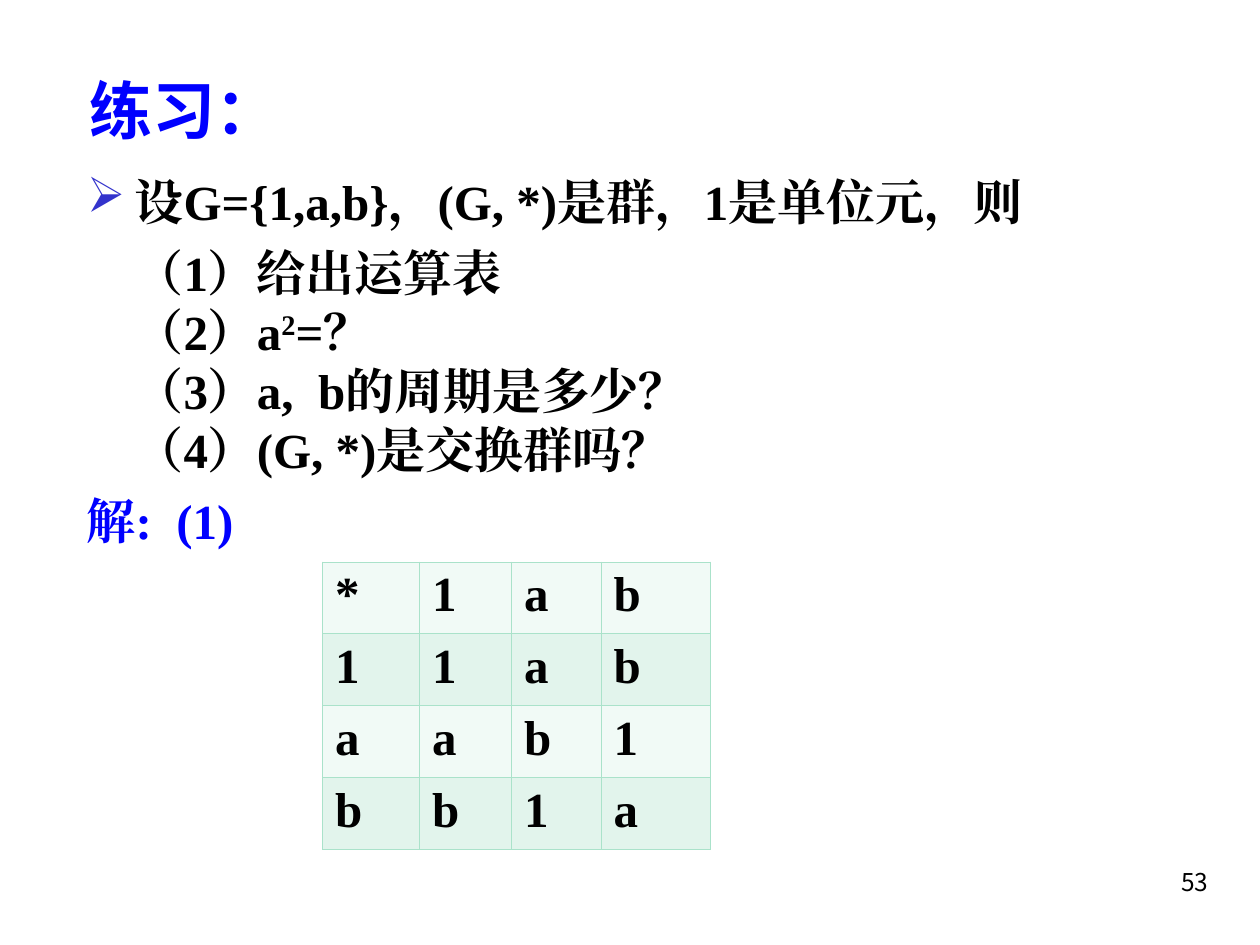
from dataclasses import dataclass

from lxml import etree
from pptx import Presentation
from pptx import util as u
from pptx.dml.color import RGBColor
from pptx.enum import text
from pptx.oxml.ns import qn

BLACK = RGBColor(0x00, 0x00, 0x00)
BLUE = RGBColor(0x00, 0x00, 0xFF)
BULLET_BLUE = RGBColor(0x33, 0x33, 0xCC)
BORDER_GREEN = RGBColor(0xAA, 0xE2, 0xCA)
ROW_FILLS = (RGBColor(0xF1, 0xFA, 0xF6), RGBColor(0xE2, 0xF4, 0xEC))
SERIF = "Times New Roman"
LINE_PITCH = u.Pt(33.7)
HANGING = u.Inches(0.38)


@dataclass(frozen=True)
class Style:
    size: float
    font: str
    color: RGBColor
    bold: bool = True


@dataclass(frozen=True)
class Box:
    left: float
    top: float
    width: float
    height: float

    def lengths(self) -> tuple:
        return tuple(map(u.Inches, (self.left, self.top, self.width, self.height)))


@dataclass(frozen=True)
class BodyParagraph:
    lines: tuple
    style: Style
    margin: int = 0
    indent: int = 0
    bullet: str = ""


TITLE = Style(36, "Noto Sans CJK SC", BLUE)
BODY = Style(28, SERIF, BLACK)
ANSWER = Style(28, SERIF, BLUE)
PAGE_NUMBER = Style(14, "Noto Sans CJK KR", BLACK, False)

EXERCISE = (
    BodyParagraph(("设G={1,a,b}，(G, *)是群，1是单位元，则",), BODY, HANGING, -HANGING, "➢"),
    BodyParagraph(
        ("（1）给出运算表", "（2）a^2^=？", "（3）a,  b的周期是多少？", "（4）(G, *)是交换群吗？"),
        BODY,
        HANGING,
    ),
    BodyParagraph(("解:  (1)",), ANSWER),
)
OPERATION_TABLE = ("*1ab", "1ab".join(("1", "")), "aab1", "bb1a")
COLUMN_WIDTHS = (0.77, 0.73, 0.71, 0.87)
ROW_HEIGHT = 0.57


def apply_style(paragraph, style: Style) -> None:
    font = paragraph.font
    font.size = u.Pt(style.size)
    font.bold = style.bold
    font.color.rgb = style.color
    font.name = style.font
    defaults = paragraph._p.pPr.find(qn("a:defRPr"))
    etree.SubElement(defaults, qn("a:ea"), typeface=style.font)


def add_text_frame(slide, box: Box, anchor=text.MSO_ANCHOR.TOP):
    frame = slide.shapes.add_textbox(*box.lengths()).text_frame
    frame.word_wrap = True
    frame.vertical_anchor = anchor
    return frame


def add_label(slide, box: Box, label: str, style: Style, anchor, alignment) -> None:
    paragraph = add_text_frame(slide, box, anchor).paragraphs[0]
    paragraph.text = label
    paragraph.alignment = alignment
    apply_style(paragraph, style)


def add_line(paragraph, line: str) -> None:
    for position, part in enumerate(line.split("^")):
        run = paragraph.add_run()
        run.text = part
        if position % 2:
            run._r.get_or_add_rPr().set("baseline", "30000")


def add_body(slide, box: Box, items: tuple) -> None:
    frame = add_text_frame(slide, box)
    for number, item in enumerate(items):
        paragraph = frame.add_paragraph() if number else frame.paragraphs[0]
        properties = paragraph._p.get_or_add_pPr()
        properties.set("marL", str(item.margin))
        properties.set("indent", str(item.indent))
        if item.bullet:
            color = etree.SubElement(properties, qn("a:buClr"))
            etree.SubElement(color, qn("a:srgbClr"), val=str(BULLET_BLUE))
            etree.SubElement(properties, qn("a:buChar"), char=item.bullet)
        paragraph.line_spacing = LINE_PITCH
        if number:
            paragraph.space_before = u.Pt(7)
        apply_style(paragraph, item.style)
        for line_number, line in enumerate(item.lines):
            if line_number:
                paragraph.add_line_break()
            add_line(paragraph, line)


def set_borders(cell) -> None:
    properties = cell._tc.get_or_add_tcPr()
    for position, side in enumerate(("lnL", "lnR", "lnT", "lnB")):
        border = etree.Element(qn(f"a:{side}"), w=str(u.Pt(0.45)))
        fill = etree.SubElement(border, qn("a:solidFill"))
        etree.SubElement(fill, qn("a:srgbClr"), val=str(BORDER_GREEN))
        properties.insert(position, border)


def add_operation_table(slide, box: Box, rows: tuple) -> None:
    frame = slide.shapes.add_table(len(rows), len(COLUMN_WIDTHS), *box.lengths())
    table = frame.table
    table.first_row = False
    table.horz_banding = False
    for column, width in zip(table.columns, COLUMN_WIDTHS):
        column.width = u.Inches(width)
    for row_number, symbols in enumerate(rows):
        table.rows[row_number].height = u.Inches(ROW_HEIGHT)
        for column_number, symbol in enumerate(symbols):
            cell = table.cell(row_number, column_number)
            cell.text = symbol
            cell.fill.solid()
            cell.fill.fore_color.rgb = ROW_FILLS[row_number % 2]
            set_borders(cell)
            apply_style(cell.text_frame.paragraphs[0], BODY)


def main() -> None:
    presentation = Presentation()
    presentation.slide_width = u.Inches(10)
    presentation.slide_height = u.Inches(7.5)
    slide = presentation.slides.add_slide(presentation.slide_layouts[6])
    add_body(slide, Box(0.59, 1.31, 8.82, 5.78), EXERCISE)
    add_operation_table(slide, Box(2.56, 4.46, 3.07, 2.27), OPERATION_TABLE)
    add_label(slide, Box(7.61, 6.83, 2.08, 0.5), "53", PAGE_NUMBER,
              text.MSO_ANCHOR.TOP, text.PP_ALIGN.RIGHT)
    add_label(slide, Box(0.61, 0.58, 8.77, 0.57), "练习：", TITLE,
              text.MSO_ANCHOR.MIDDLE, text.PP_ALIGN.LEFT)
    presentation.save("out.pptx")


if __name__ == "__main__":
    main()
